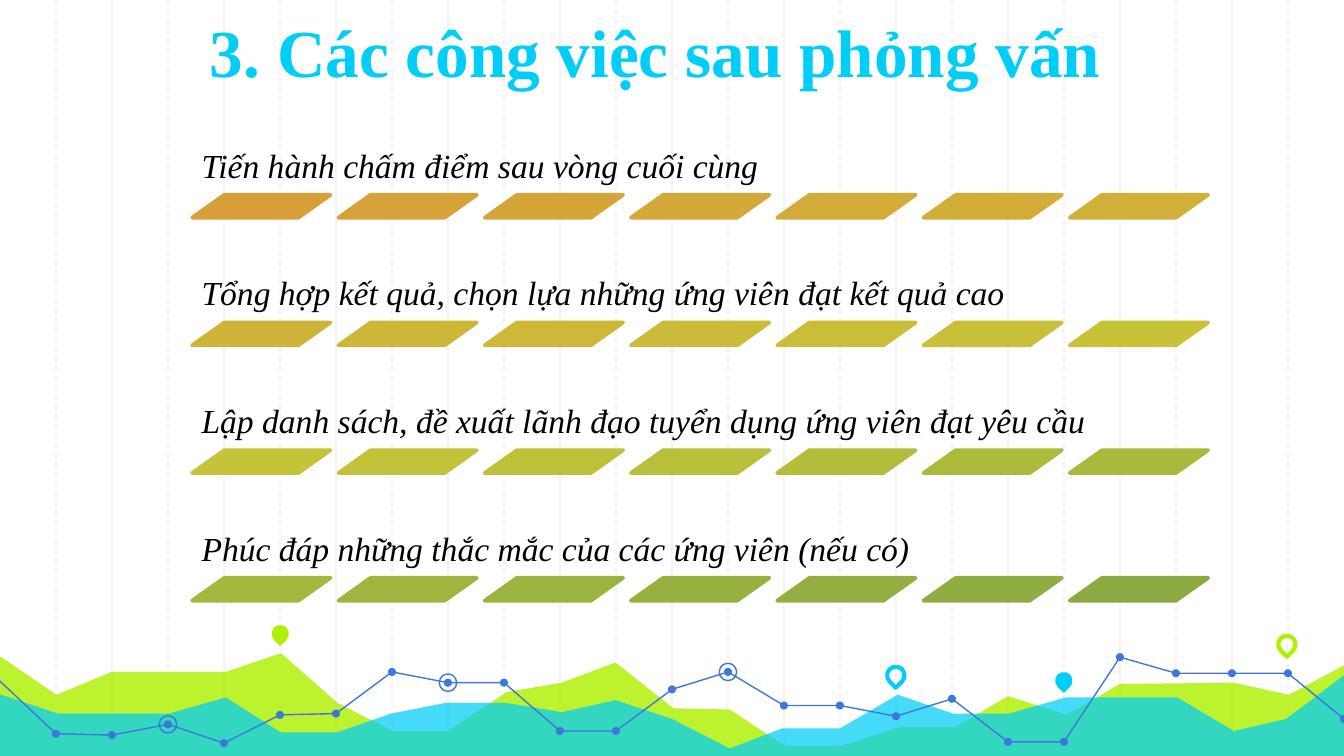
"""Builds the slide on the tasks that follow the interviews."""
from lxml import etree
from pptx import Presentation, util as u
from pptx.dml.color import RGBColor
from pptx.enum import dml, shapes, text
from pptx.oxml.ns import qn

FONT = "Times New Roman"
CYAN = RGBColor(0x00, 0xCE, 0xF6)
LIME = RGBColor(0xAF, 0xF0, 0x00)
BLUE = RGBColor(0x3C, 0x78, 0xD8)
GRID = RGBColor(0xF3, 0xF3, 0xF3)
BLACK = RGBColor(0, 0, 0)
STEP = 10 / 24
BAR_STEP = 6.53 / 6

TITLE = "3. Các công việc sau phỏng vấn"
TASKS = [
    ("Tiến hành chấm điểm sau vòng cuối cùng",
     "D89F39 D7A239 D6A539 D4A839 D3AB39 D2AE39 D0B039"),
    ("Tổng hợp kết quả, chọn lựa những ứng viên đạt kết quả cao",
     "CFB338 CEB638 CDB838 CBBB38 CABD38 C9BF38 C7C238"),
    ("Lập danh sách, đề xuất lãnh đạo tuyển dụng ứng viên đạt yêu cầu",
     "C5C339 C2C33A BDC13A B7BF3B B2BD3C ADBB3D A9B93D"),
    ("Phúc đáp những thắc mắc của các ứng viên (nếu có)",
     "A4B73E 9FB53F 9BB33F 97B140 93AF41 8FAD41 8BAB42"),
]
AREAS = [
    (LIME, 82, [(-0.02, 4.87), (0.42, 5.17), (0.83, 5), (1.68, 5), (2.09, 4.86),
                (2.51, 5.23), (2.92, 5.44), (3.33, 5.44), (3.77, 5.15), (4.18, 5.08),
                (4.58, 4.93), (5.01, 5.27), (5.43, 5.28), (5.84, 5.55), (6.26, 5.55),
                (6.7, 5.41), (7.11, 5.41), (7.5, 5.18), (7.94, 5.32), (8.33, 5.09),
                (9.18, 5.08), (9.59, 5.17), (10.02, 4.94), (10.01, 5.64), (-0.03, 5.64)]),
    (CYAN, 73, [(-0.02, 5.16), (0.43, 5.31), (1.26, 5.31), (1.68, 5.19), (2.09, 5.45),
                (2.51, 5.45), (2.91, 5.31), (3.32, 5.23), (3.76, 5.23), (4.18, 5.3),
                (4.58, 5.21), (5, 5.35), (5.43, 5.57), (5.82, 5.42), (6.25, 5.42),
                (6.68, 5.17), (7.09, 5.31), (7.51, 5.31), (7.93, 5.19), (8.76, 5.19),
                (9.18, 5.44), (9.57, 5.35), (10.02, 5.01), (10.02, 5.65), (-0.03, 5.65)]),
]
DOT_HEIGHTS = [5.46, 5.47, 5.39, 5.53, 5.32, 5.31, 5, 5.08, 5.08, 5.44, 5.44, 5.13,
               5, 5.25, 5.25, 5.33, 5.2, 5.52, 5.52, 4.89, 5.01, 5.01, 5.01, 5.35]
RINGED_DOTS = [2, 7, 12]
PINS = [(2.02, 4.65, LIME, True), (6.6, 4.96, CYAN, False),
        (7.85, 5, CYAN, True), (9.51, 4.73, LIME, False)]


def paint(sp, fill=None, line=None, width=0.75):
    sp.shadow.inherit = False
    if fill is None:
        sp.fill.background()
    else:
        sp.fill.solid()
        sp.fill.fore_color.rgb = fill
    if line is None:
        sp.line.fill.background()
    else:
        sp.line.color.rgb = line
        sp.line.width = u.Pt(width)


def add_shape(kind, x, y, w, h, **style):
    sp = s.shapes.add_shape(kind, *map(u.Inches, (x, y, w, h)))
    paint(sp, **style)
    return sp


def add_outline(points, close, **style):
    pts = [(u.Inches(x), u.Inches(y)) for x, y in points]
    builder = s.shapes.build_freeform(*pts[0])
    builder.add_line_segments(pts[1:], close=close)
    sp = builder.convert_to_shape()
    paint(sp, **style)
    return sp


def add_circle(center, d, **style):
    x, y = center
    add_shape(shapes.MSO_SHAPE.OVAL, x - d / 2, y - d / 2, d, d, **style)


def write(tf, words, inset, size, color):
    tf.word_wrap = True
    tf.auto_size = text.MSO_AUTO_SIZE.NONE
    tf.vertical_anchor = text.MSO_ANCHOR.BOTTOM
    tf.margin_left = tf.margin_right = tf.margin_top = tf.margin_bottom = u.Inches(inset)
    p = tf.paragraphs[0]
    r = p.add_run()
    r.text = words
    r.font.name, r.font.size = FONT, u.Pt(size)
    r.font.color.rgb = color
    return p, r


prs = Presentation()
prs.slide_width = u.Inches(10)
prs.slide_height = u.Inches(10 * 9 / 16)
s = prs.slides.add_slide(prs.slide_layouts[5])

for first, dash in ((2, None), (1, dml.MSO_LINE.DASH)):
    for k in range(first, 24, 2):
        x = u.Inches(k * STEP)
        line = s.shapes.add_connector(shapes.MSO_CONNECTOR.STRAIGHT, x, 0, x, u.Inches(5.65))
        line.line.color.rgb = GRID
        line.line.width = u.Pt(0.75)
        if dash:
            line.line.dash_style = dash
        etree.SubElement(line.element.spPr, qn("a:effectLst"))

for color, opacity, points in AREAS:
    area = add_outline(points, True, fill=color)
    clr = area.element.spPr.find(qn("a:solidFill")).find(qn("a:srgbClr"))
    etree.SubElement(clr, qn("a:alpha"), val=str(opacity * 1000))

dots = [(k * STEP, y) for k, y in enumerate(DOT_HEIGHTS, 1)]
for points in ([(-0.01, 5.06)] + dots[:11], dots[10:20], dots[19:]):
    add_outline(points, False, line=BLUE)
for dot in dots:
    add_circle(dot, 0.06, fill=BLUE)
for k in RINGED_DOTS:
    add_circle(dots[k], 0.13, line=BLUE)

for x, y, color, solid in PINS:
    style = {"fill": color} if solid else {"line": color, "width": 2.25}
    pin = add_shape(shapes.MSO_SHAPE.TEAR, x, y, 0.13, 0.13, **style)
    pin.rotation = 135

title = s.shapes.title
title.left, title.top, title.width, title.height = map(u.Inches, (1.05, 0, 7.65, 0.78))
p, r = write(title.text_frame, TITLE, 0.1, 36, CYAN)
p.alignment = text.PP_ALIGN.CENTER
r.font.bold = True
title.element.getparent().append(title.element)

for row, (task, colors) in enumerate(TASKS):
    top = 0.75 + row * 0.95
    box = s.shapes.add_textbox(*map(u.Inches, (1.43, top, 6.84, 0.7)))
    p, r = write(box.text_frame, task, 0.07, 18, BLACK)
    p.line_spacing = 0.9
    p.space_after = u.Pt(6.3)
    r.font.italic = True
    for col, value in enumerate(colors.split()):
        color = RGBColor.from_string(value)
        bar = add_shape(shapes.MSO_SHAPE.PARALLELOGRAM, 1.43 + col * BAR_STEP, top + 0.7,
                        1.03, 0.17, fill=color, line=color, width=2)
        bar.adjustments[0] = 1.41

prs.save("out.pptx")
